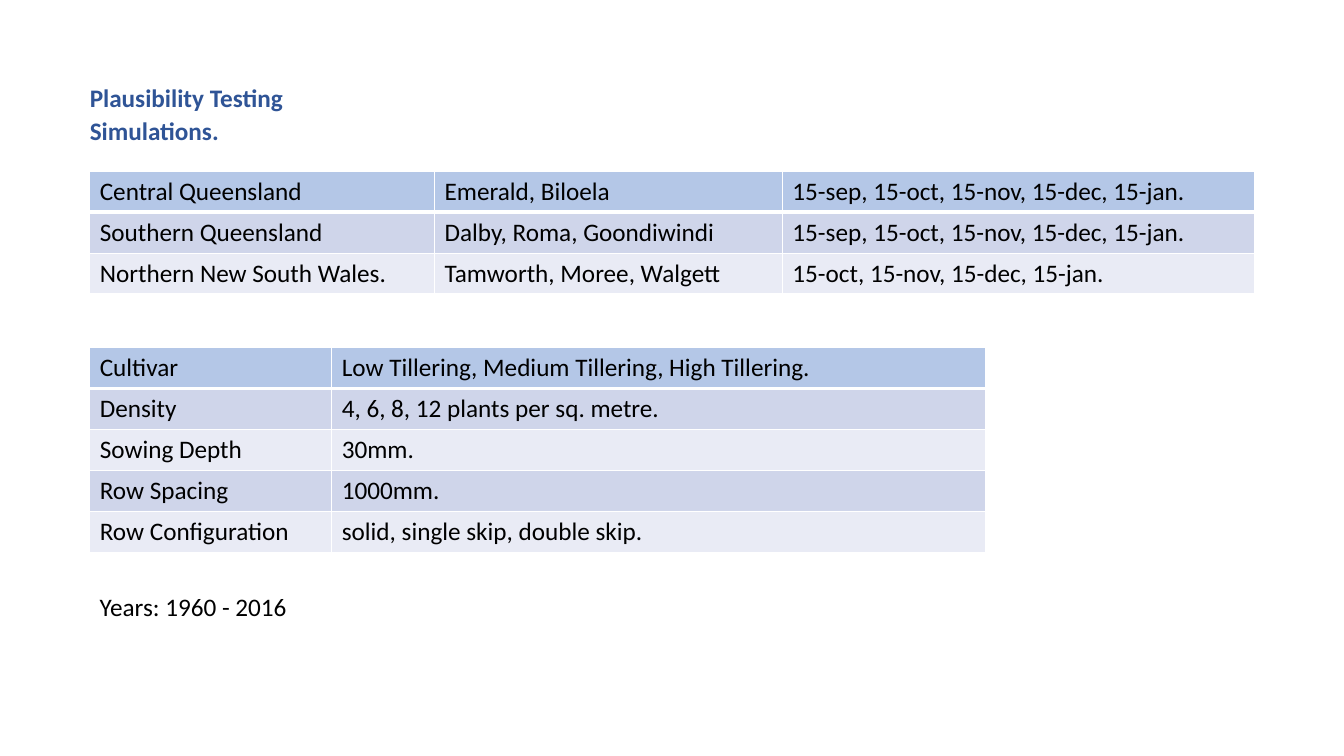
import pptx
import pptx.util
import pptx.dml.color
import pptx.enum.text
import pptx.oxml
import pptx.oxml.ns
from pptx.util import Inches

ROW_HEIGHT = 0.405
LEFT = 0.89


def style_text(frame, color, bold=False, spacing=None):
    for paragraph in frame.paragraphs:
        paragraph.alignment = pptx.enum.text.PP_ALIGN.LEFT
        if spacing:
            paragraph.line_spacing = spacing
        for run in paragraph.runs:
            run.font.name = "Calibri"
            run.font.size = pptx.util.Pt(18)
            run.font.bold = bold
            run.font.color.rgb = pptx.dml.color.RGBColor.from_string(color)


def set_borders(cell, widths):
    properties = cell._tc.get_or_add_tcPr()
    for index, (side, width) in enumerate(widths.items()):
        border = pptx.oxml.parse_xml(
            f'<a:ln{side} {pptx.oxml.ns.nsdecls("a")} w="{pptx.util.Pt(width)}">'
            f'<a:solidFill><a:srgbClr val="FFFFFF"/></a:solidFill></a:ln{side}>')
        properties.insert(index, border)


presentation = pptx.Presentation()
presentation.slide_width = Inches(13.33)
presentation.slide_height = Inches(7.5)
slide = presentation.slides.add_slide(presentation.slide_layouts[5])

# Heading
heading = slide.shapes.title
heading.left, heading.top = Inches(0.79), Inches(0.75)
heading.width, heading.height = Inches(3.43), Inches(0.75)
heading.text_frame.text = "Plausibility Testing Simulations."
heading.text_frame.auto_size = pptx.enum.text.MSO_AUTO_SIZE.NONE
heading.text_frame.vertical_anchor = pptx.enum.text.MSO_ANCHOR.TOP
style_text(heading.text_frame, "2F5496", bold=True, spacing=1.07)

# Sowing dates by region, then crop settings: top, column widths, rows
sowing_dates = (1.7, [3.42, 3.45, 4.68], [
    ["Central Queensland", "Emerald, Biloela",
     "15-sep, 15-oct, 15-nov, 15-dec, 15-jan."],
    ["Southern Queensland", "Dalby, Roma, Goondiwindi",
     "15-sep, 15-oct, 15-nov, 15-dec, 15-jan."],
    ["Northern New South Wales.", "Tamworth, Moree, Walgett",
     "15-oct, 15-nov, 15-dec, 15-jan."],
])
crop_settings = (3.45, [2.4, 6.49], [
    ["Cultivar", "Low Tillering, Medium Tillering, High Tillering."],
    ["Density", "4, 6, 8, 12 plants per sq. metre."],
    ["Sowing Depth", "30mm."],
    ["Row Spacing", "1000mm."],
    ["Row Configuration", "solid, single skip, double skip."],
])

for top, column_widths, rows in (sowing_dates, crop_settings):
    table = slide.shapes.add_table(
        len(rows), len(column_widths), Inches(LEFT), Inches(top),
        Inches(sum(column_widths)), Inches(ROW_HEIGHT * len(rows))).table
    table.first_row = table.horz_banding = False
    for column, width in zip(table.columns, column_widths):
        column.width = Inches(width)
    for row_index, row in enumerate(rows):
        table.rows[row_index].height = Inches(ROW_HEIGHT)
        band = "B4C7E7" if row_index == 0 else ("E9EBF5", "CFD5EA")[row_index % 2]
        # A thick rule separates the first row from the rest
        borders = {"L": 1, "R": 1, "T": 3 if row_index == 1 else 1,
                   "B": 3 if row_index == 0 else 1}
        for column_index, entry in enumerate(row):
            cell = table.cell(row_index, column_index)
            cell.text_frame.text = entry
            style_text(cell.text_frame, "000000")
            cell.fill.solid()
            cell.fill.fore_color.rgb = pptx.dml.color.RGBColor.from_string(band)
            set_borders(cell, borders)

# Simulated years
years = slide.shapes.add_textbox(
    Inches(LEFT), Inches(5.8), Inches(6.66), Inches(0.41))
years.text_frame.word_wrap = True
years.text_frame.text = "Years: 1960 - 2016"
style_text(years.text_frame, "000000", spacing=1.07)

presentation.save("out.pptx")
